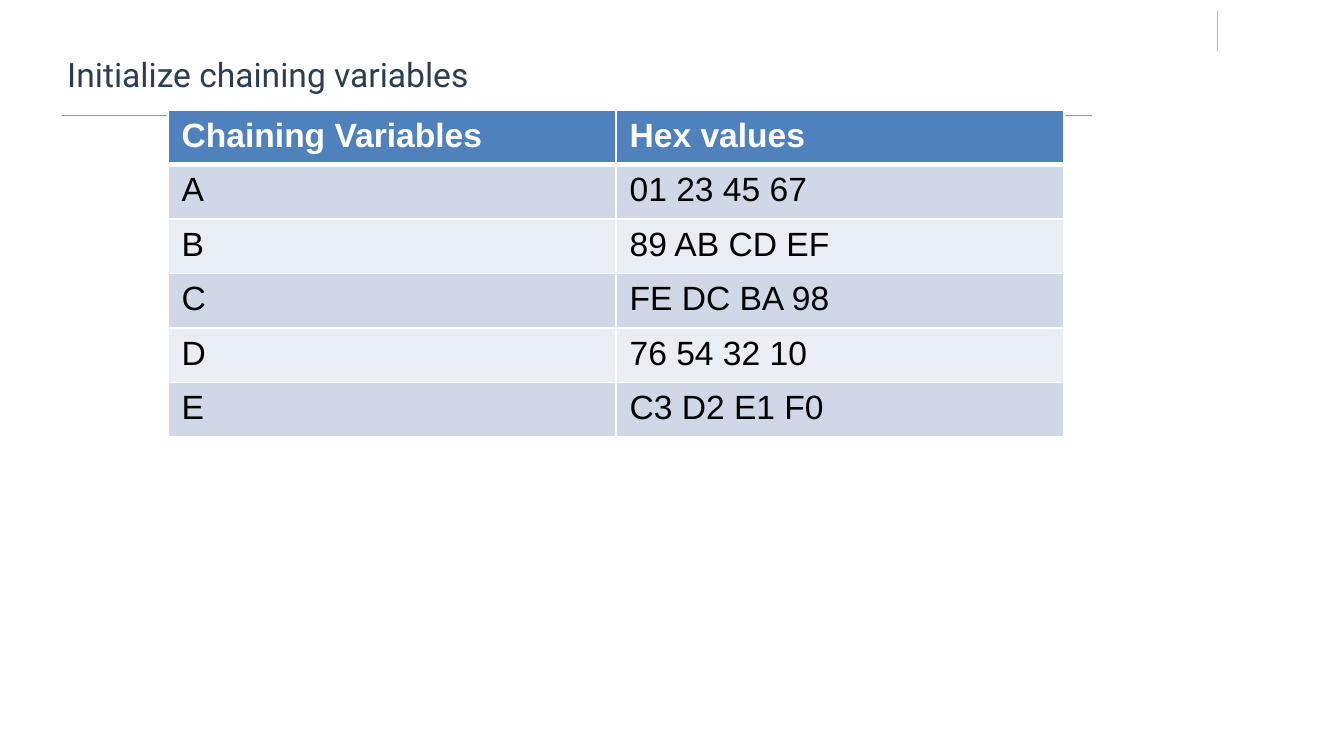
from lxml.etree import SubElement
from pptx import Presentation
from pptx.dml.color import RGBColor
from pptx.enum.shapes import MSO_CONNECTOR
from pptx.enum.text import MSO_ANCHOR, PP_ALIGN
from pptx.oxml import parse_xml
from pptx.oxml.ns import nsdecls, qn
from pptx.util import Cm, Pt


def color(hex_string):
    return RGBColor.from_string(hex_string)


class SlideBuilder:
    TITLE_FONT, BODY_FONT = "Roboto", "Arial"
    TEXT_SIZE = 18
    TITLE, HEADER_TEXT, BODY_TEXT = "2C3E50", "FFFFFF", "000000"
    HEADER_FILL, BANDS = "4F81BD", ("D0D8E8", "E9EDF4")
    BORDER = "FFFFFF"

    def __init__(self, slide):
        self.slide = slide

    def style(self, paragraph, font_name, hex_string, bold=False):
        for run in paragraph.runs:
            run.font.name = font_name
            run.font.size = Pt(self.TEXT_SIZE)
            run.font.bold = bold
            run.font.color.rgb = color(hex_string)

    def line(self, left, top, right, bottom, hex_string):
        connector = self.slide.shapes.add_connector(
            MSO_CONNECTOR.STRAIGHT, Cm(left), Cm(top), Cm(right), Cm(bottom))
        connector.line.color.rgb = color(hex_string)
        connector.line.width = Pt(0.75)
        SubElement(connector._element.spPr, qn("a:effectLst"))

    def title(self, text, left, top, width, height, bottom_inset):
        shape = self.slide.shapes.title
        shape.left, shape.top = Cm(left), Cm(top)
        shape.width, shape.height = Cm(width), Cm(height)
        text_frame = shape.text_frame
        text_frame.text = text
        text_frame.word_wrap = True
        text_frame.vertical_anchor = MSO_ANCHOR.MIDDLE
        text_frame.margin_left = text_frame.margin_right = text_frame.margin_top = 0
        text_frame.margin_bottom = Cm(bottom_inset)
        paragraph = text_frame.paragraphs[0]
        paragraph.alignment = PP_ALIGN.LEFT
        self.style(paragraph, self.TITLE_FONT, self.TITLE)

    def borders(self, cell, top, bottom):
        properties = cell._tc.get_or_add_tcPr()
        widths = {"lnL": 1, "lnR": 1, "lnT": top, "lnB": bottom}
        for index, (side, width) in enumerate(widths.items()):
            properties.insert(index, parse_xml(
                f'<a:{side} {nsdecls("a")} w="{Pt(width)}"><a:solidFill>'
                f'<a:srgbClr val="{self.BORDER}"/></a:solidFill></a:{side}>'))

    def table(self, rows, left, top, width, row_height):
        table = self.slide.shapes.add_table(
            len(rows), len(rows[0]), Cm(left), Cm(top),
            Cm(width), Cm(row_height * len(rows))).table
        for row_index, row in enumerate(rows):
            header = row_index == 0
            fill = self.HEADER_FILL if header else self.BANDS[(row_index - 1) % 2]
            text_color = self.HEADER_TEXT if header else self.BODY_TEXT
            for column_index, text in enumerate(row):
                cell = table.cell(row_index, column_index)
                cell.text_frame.text = text
                self.style(cell.text_frame.paragraphs[0], self.BODY_FONT, text_color, header)
                cell.fill.solid()
                cell.fill.fore_color.rgb = color(fill)
                # A thick rule separates the header from the body
                self.borders(cell, 3 if row_index == 1 else 1, 3 if header else 1)


def main():
    presentation = Presentation()
    presentation.slide_width, presentation.slide_height = Cm(25.4), Cm(14.29)
    title_only = presentation.slide_layouts[5]
    builder = SlideBuilder(presentation.slides.add_slide(title_only))

    # Decorative rules
    builder.line(23.01, 0.2, 23.01, 0.97, "B7B7B7")
    builder.line(1.17, 2.18, 20.63, 2.18, "EA7F26")

    # Title
    builder.title("Initialize chaining variables", 1.27, 0.56, 22.86, 2.39, 0.7)

    # Chaining variables and their initial values
    builder.table([
        ("Chaining Variables", "Hex values"),
        ("A", "01 23 45 67"),
        ("B", "89 AB CD EF"),
        ("C", "FE DC BA 98"),
        ("D", "76 54 32 10"),
        ("E", "C3 D2 E1 F0"),
    ], 3.18, 2.08, 16.93, 1.03)

    presentation.save("out.pptx")


if __name__ == "__main__":
    main()
